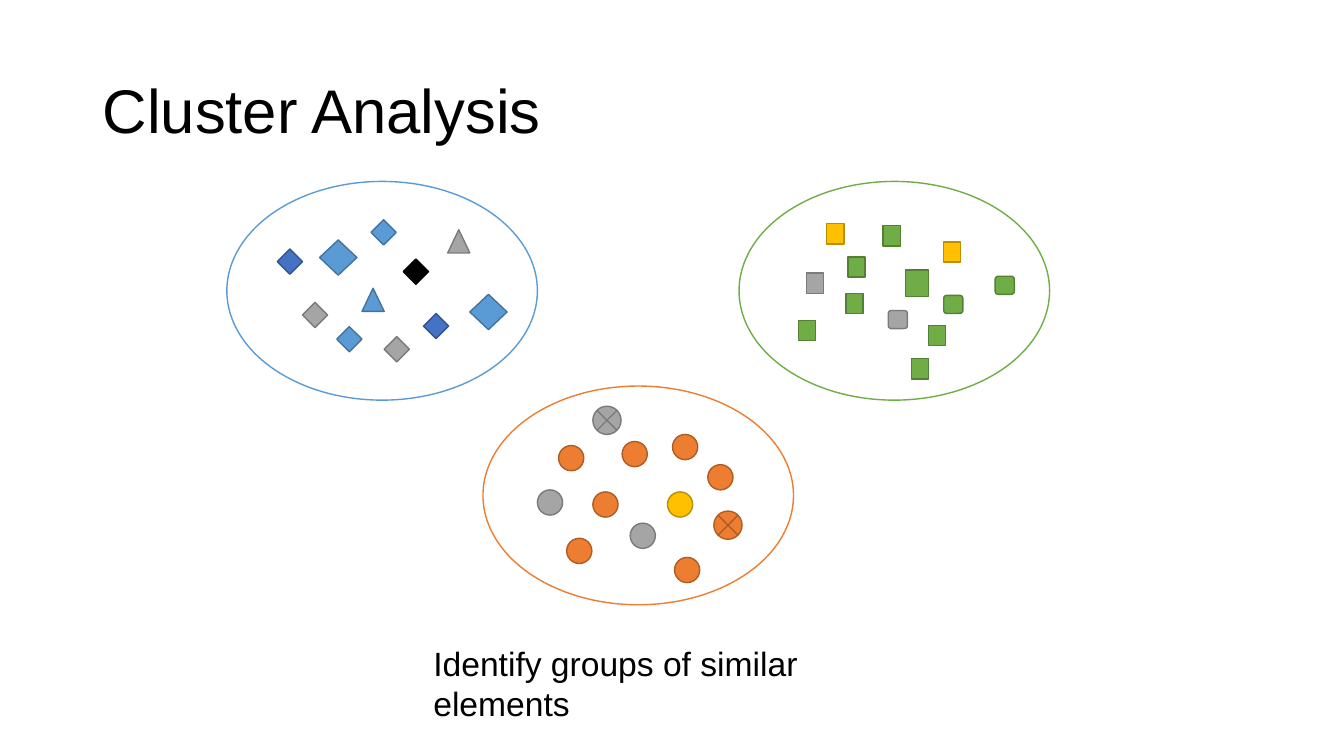
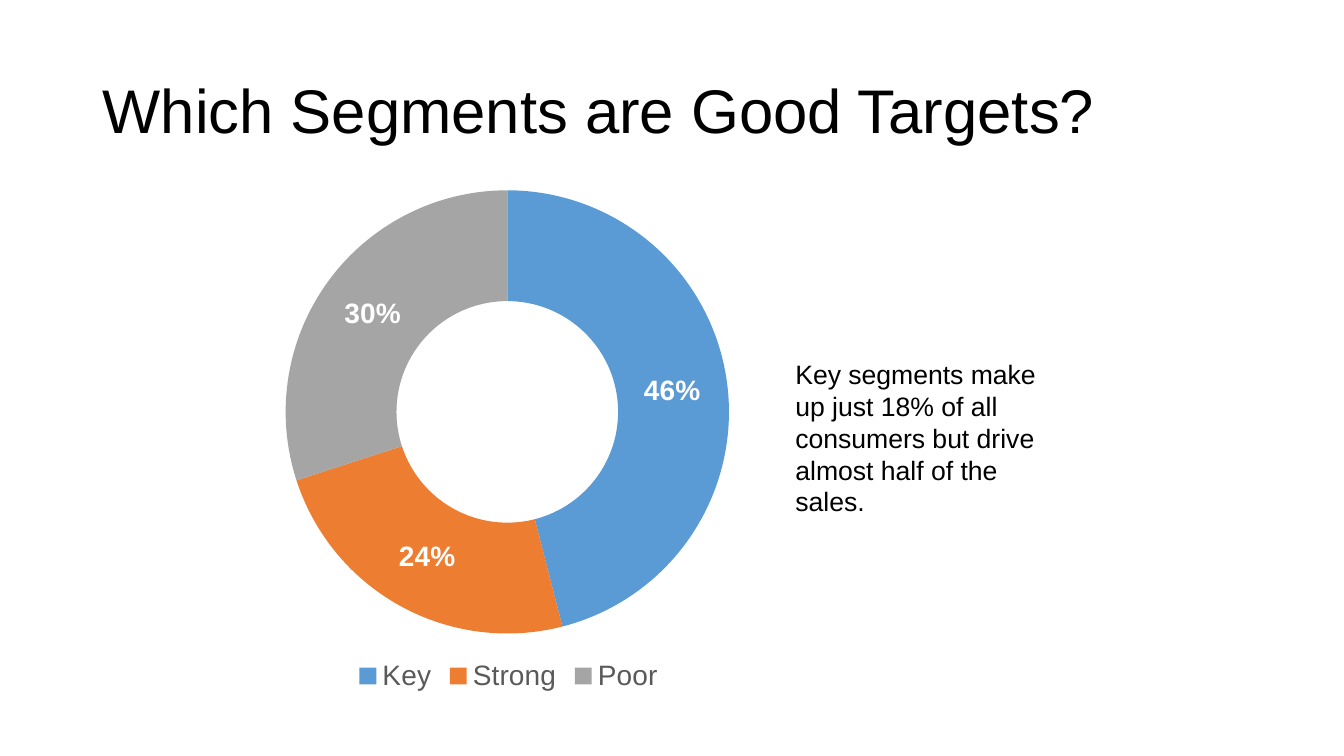
from pptx import Presentation
from pptx.chart.data import CategoryChartData
from pptx.dml.color import RGBColor
from pptx.enum.chart import XL_CHART_TYPE, XL_LEGEND_POSITION
from pptx.enum.shapes import MSO_SHAPE
from pptx.enum.text import MSO_ANCHOR
from pptx.util import Inches, Pt

DIAMOND = MSO_SHAPE.DIAMOND
TRIANGLE = MSO_SHAPE.ISOSCELES_TRIANGLE
SQUARE = MSO_SHAPE.RECTANGLE
ROUNDED = MSO_SHAPE.ROUNDED_RECTANGLE
CIRCLE = MSO_SHAPE.OVAL
CROSSED = MSO_SHAPE.FLOWCHART_SUMMING_JUNCTION
DOUGHNUT = XL_CHART_TYPE.DOUGHNUT
BOTTOM = XL_LEGEND_POSITION.BOTTOM
TOP, MIDDLE = MSO_ANCHOR.TOP, MSO_ANCHOR.MIDDLE

FONT = "Arial"
WHITE = RGBColor(0xFF, 0xFF, 0xFF)
BLACK = RGBColor(0x00, 0x00, 0x00)
BLUE = RGBColor(0x5B, 0x9B, 0xD5)
INDIGO = RGBColor(0x44, 0x72, 0xC4)
GREEN = RGBColor(0x70, 0xAD, 0x47)
ORANGE = RGBColor(0xED, 0x7D, 0x31)
GRAY = RGBColor(0xA5, 0xA5, 0xA5)
GOLD = RGBColor(0xFF, 0xC0, 0x00)
LEGEND_GRAY = RGBColor(0x59, 0x59, 0x59)

# Outline colour that goes with each fill
OUTLINE = {
    BLACK: BLACK,
    BLUE: RGBColor(0x43, 0x73, 0x9E),
    INDIGO: RGBColor(0x32, 0x54, 0x91),
    GREEN: RGBColor(0x53, 0x80, 0x35),
    ORANGE: RGBColor(0xAF, 0x5C, 0x24),
    GRAY: RGBColor(0x7A, 0x7A, 0x7A),
    GOLD: RGBColor(0xBD, 0x8E, 0x00),
}

prs = Presentation()
prs.slide_width, prs.slide_height = Inches(13.33), Inches(7.5)
BLANK = prs.slide_layouts[6]


def add_text(slide, text, *, left, top, width, height, size,
             anchor=TOP, line_spacing=None):
    box = slide.shapes.add_textbox(Inches(left), Inches(top), Inches(width), Inches(height))
    frame = box.text_frame
    frame.word_wrap = True
    frame.vertical_anchor = anchor
    paragraph = frame.paragraphs[0]
    paragraph.text = text
    paragraph.line_spacing = line_spacing
    paragraph.font.name = FONT
    paragraph.font.size = Pt(size)
    paragraph.font.color.rgb = BLACK


def add_outlined(slide, kind, left, top, width, height, fill, line):
    shape = slide.shapes.add_shape(kind, Inches(left), Inches(top), Inches(width), Inches(height))
    shape.shadow.inherit = False
    shape.fill.solid()
    shape.fill.fore_color.rgb = fill
    shape.line.color.rgb = line
    shape.line.width = Pt(1)


# Slides and their titles
slides = []
for title in ("Cluster Analysis", "Which Segments are Good Targets?"):
    slide = prs.slides.add_slide(BLANK)
    add_text(slide, title, left=0.92, top=0.4, width=11.5, height=1.45,
             size=44, anchor=MIDDLE, line_spacing=0.9)
    slides.append(slide)
cluster_slide, segment_slide = slides

# Slide 1: caption and cluster outlines
add_text(cluster_slide, "Identify groups of similar elements",
         left=4.2, top=6.33, width=4.94, height=0.5, size=24)
for left, top, color in ((2.25, 1.8, BLUE), (7.33, 1.8, GREEN), (4.79, 3.83, ORANGE)):
    add_outlined(cluster_slide, CIRCLE, left, top, 3.08, 2.17, WHITE, color)

# Slide 1: elements as (kind, width, height, positions by fill)
elements = [
    (DIAMOND, 0.25, 0.25, {
        INDIGO: [(2.75, 2.47), (4.2, 3.11)],
        GRAY: [(3, 3), (3.81, 3.34)],
        BLUE: [(3.34, 3.24), (3.68, 2.18)],
        BLACK: [(4, 2.57)]}),
    (DIAMOND, 0.37, 0.35, {BLUE: [(3.17, 2.38), (4.66, 2.92)]}),
    (TRIANGLE, 0.22, 0.23, {BLUE: [(3.59, 2.86)], GRAY: [(4.44, 2.28)]}),
    (SQUARE, 0.17, 0.2, {
        GREEN: [(8.41, 2.55), (7.92, 3.18), (8.39, 2.91),
                (9.04, 3.56), (9.21, 3.23), (8.76, 2.24)],
        GRAY: [(8, 2.71)],
        GOLD: [(8.2, 2.22), (9.36, 2.4)]}),
    (SQUARE, 0.23, 0.26, {GREEN: [(8.98, 2.68)]}),
    (ROUNDED, 0.19, 0.18, {GREEN: [(9.87, 2.74), (9.36, 2.93)], GRAY: [(8.81, 3.08)]}),
    (CIRCLE, 0.25, 0.25, {
        ORANGE: [(6.69, 5.53), (7.02, 4.61), (5.88, 4.88), (5.62, 5.34),
                 (6.67, 4.31), (6.17, 4.38), (5.54, 4.42)],
        GRAY: [(5.33, 4.86), (6.25, 5.19)],
        GOLD: [(6.62, 4.88)]}),
    (CROSSED, 0.28, 0.28, {ORANGE: [(7.08, 5.07)], GRAY: [(5.88, 4.03)]}),
]
for kind, width, height, groups in elements:
    for color, positions in groups.items():
        for left, top in positions:
            add_outlined(cluster_slide, kind, left, top, width, height, color, OUTLINE[color])

# Slide 2: sales by segment
sales = CategoryChartData()
sales.categories = ["Key", "Strong", "Poor"]
sales.add_series("Series 1", (46, 24, 30))
chart = segment_slide.shapes.add_chart(
    DOUGHNUT, Inches(1.17), Inches(1.75), Inches(7.75), Inches(5.17), sales).chart
chart.has_title = False
chart.font.name = FONT
chart.font.size = Pt(20)
chart.has_legend = True
chart.legend.position = BOTTOM
chart.legend.include_in_layout = False
chart.legend.font.name = FONT
chart.legend.font.size = Pt(20)
chart.legend.font.color.rgb = LEGEND_GRAY

segments = chart.plots[0].series[0]
for index, color in enumerate((BLUE, ORANGE, GRAY)):
    point = segments.points[index].format
    point.fill.solid()
    point.fill.fore_color.rgb = color
    point.line.fill.background()

shares = segments.data_labels
shares.show_value = False
shares.show_percentage = True
shares.number_format = "0%"
shares.number_format_is_linked = False
shares.font.name = FONT
shares.font.size = Pt(20)
shares.font.bold = True
shares.font.color.rgb = WHITE

# Slide 2: takeaway
add_text(segment_slide,
         "Key segments make up just 18% of all consumers but drive almost half of the sales.",
         left=7.79, top=3.5, width=2.75, height=1.7, size=19)

prs.save("out.pptx")
